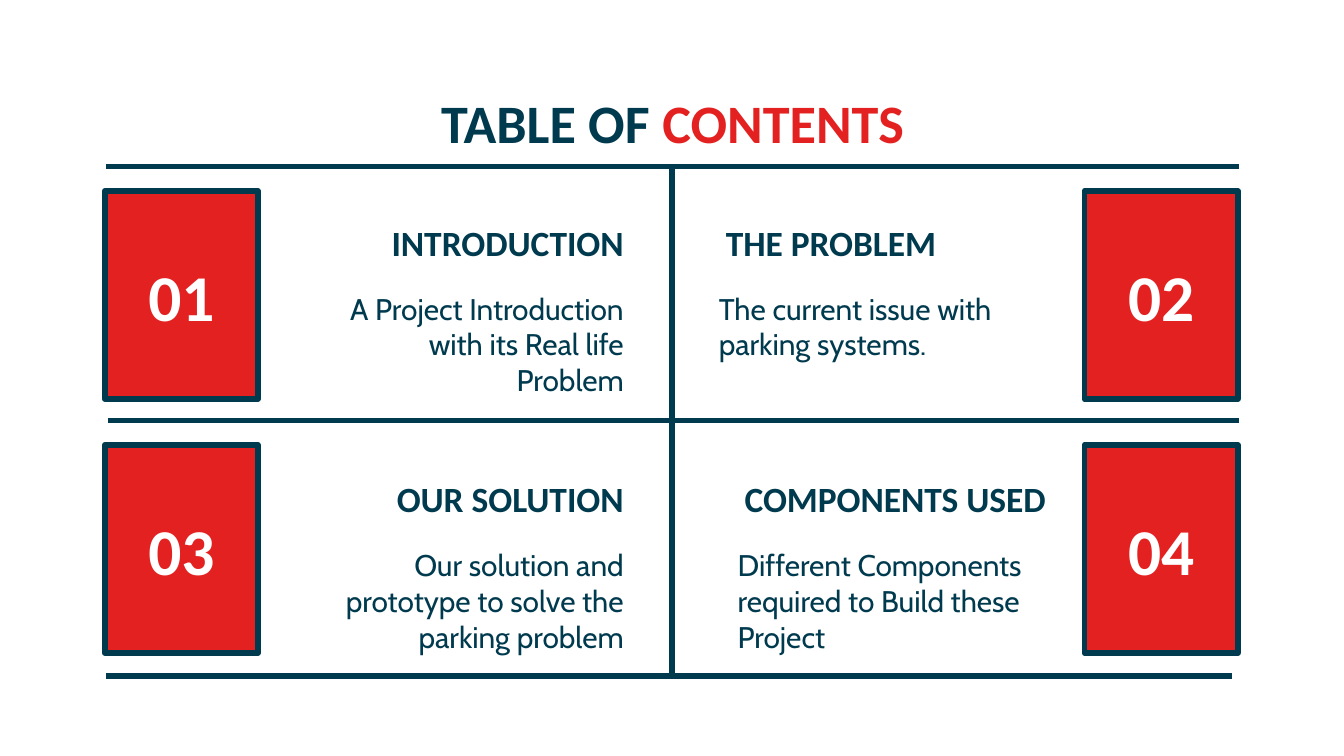
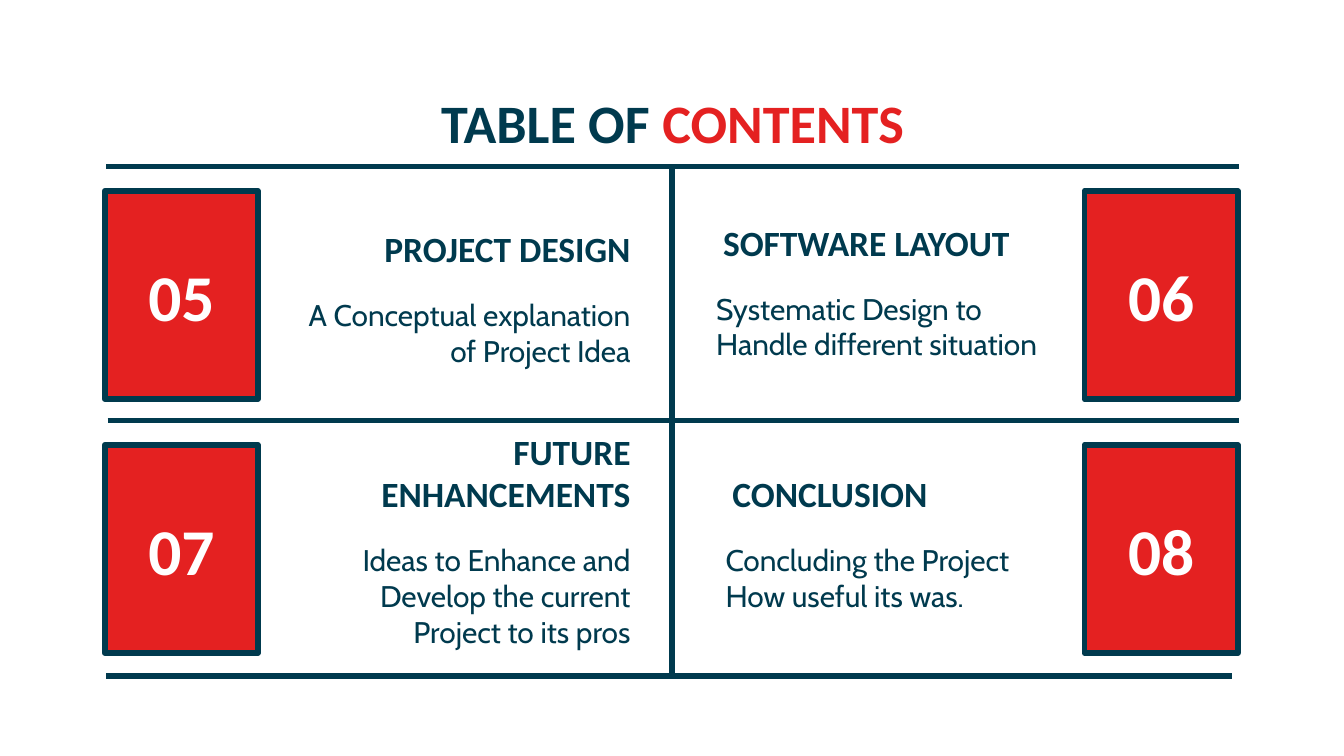
from lxml import etree
from pptx import Presentation
from pptx.dml.color import RGBColor
from pptx.enum.shapes import MSO_CONNECTOR, MSO_SHAPE
from pptx.enum.text import MSO_ANCHOR, PP_ALIGN
from pptx.oxml.ns import qn
from pptx.util import Pt

PX = 9144  # 100 px to the inch
SLIDE_WIDTH = 1000 * PX
SLIDE_HEIGHT = SLIDE_WIDTH * 9 // 16

RECTANGLE = MSO_SHAPE.RECTANGLE
STRAIGHT = MSO_CONNECTOR.STRAIGHT
TOP, MIDDLE, BOTTOM = MSO_ANCHOR.TOP, MSO_ANCHOR.MIDDLE, MSO_ANCHOR.BOTTOM
LEFT, CENTER, RIGHT = PP_ALIGN.LEFT, PP_ALIGN.CENTER, PP_ALIGN.RIGHT

NAVY, RED, WHITE = "003A4E", "E42121", "FFFFFF"
TITLE = {"name": "Calibri", "size": Pt(29), "bold": True}
NUMBER = {"name": "Calibri", "size": Pt(35), "bold": True}
HEADING = {"name": "Calibri", "size": Pt(19), "bold": True}
BODY = {"name": "Cabin", "size": Pt(16), "bold": False}

TITLE_BOX = (79, 59, 843, 63)
RULES = [
    ((500, 124), (500, 501)),
    ((80, 313), (922, 313)),
    ((79, 124), (922, 124)),
    ((79, 503), (917, 503)),
]
RULE_POINTS = 3
TILE_LEFTS, TILE_TOPS = (78, 807), (142, 331)
TILE_WIDTH, TILE_HEIGHT = 114, 155
ENTRY_WIDTH, HEADING_HEIGHT, BODY_HEIGHT = 261, 56, 81
HANGING = {"marL": 50 * PX, "indent": -35 * PX}

# Each entry: left and top of its text, heading, body paragraphs, paragraph indent
CONTENTS = [
    [
        (213, 150, "INTRODUCTION",
         ["A Project Introduction with its Real life Problem"], HANGING),
        (525, 150, "THE PROBLEM",
         ["The current issue with parking systems."], {}),
        (213, 341, "OUR SOLUTION",
         ["Our solution and prototype to solve the parking problem"], {}),
        (539, 341, "COMPONENTS USED",
         ["Different Components required to Build these Project"], {}),
    ],
    [
        (218, 155, "PROJECT DESIGN",
         ["A Conceptual explanation of Project Idea"], {}),
        (523, 150, "SOFTWARE LAYOUT",
         ["Systematic Design to", "Handle different situation"], {}),
        (218, 337, "FUTURE ENHANCEMENTS",
         ["Ideas to Enhance and Develop the current Project to its pros"], {}),
        (530, 337, "CONCLUSION",
         ["Concluding the Project How useful its was."], {}),
    ],
]


def rgb(color):
    return RGBColor.from_string(color)


def emu(lengths):
    return [length * PX for length in lengths]


def set_all(target, values):
    for name, value in values.items():
        setattr(target, name, value)


def write(frame, paragraphs, style, align, anchor, left_inset=10, indent=None):
    """Fill a text frame; each paragraph is a list of (text, color) runs."""
    set_all(frame, {
        "word_wrap": True, "vertical_anchor": anchor,
        "margin_left": left_inset * PX, "margin_top": 10 * PX,
        "margin_right": 10 * PX, "margin_bottom": 10 * PX,
    })
    for index, runs in enumerate(paragraphs):
        paragraph = frame.add_paragraph() if index else frame.paragraphs[0]
        paragraph.alignment = align
        for name, value in (indent or {}).items():
            paragraph._p.get_or_add_pPr().set(name, str(value))
        for text, color in runs:
            run = paragraph.add_run()
            run.text = text
            set_all(run.font, style)
            run.font.color.rgb = rgb(color)


def add_text(slide, box, *args, **options):
    write(slide.shapes.add_textbox(*emu(box)).text_frame, *args, **options)


def draw_title(slide, box):
    add_text(slide, box, [[("TABLE OF ", NAVY), ("CONTENTS", RED)]],
             TITLE, CENTER, MIDDLE)


def draw_number_tile(slide, box, number):
    tile = slide.shapes.add_shape(RECTANGLE, *emu(box))
    tile.shadow.inherit = False
    tile.fill.solid()
    tile.fill.fore_color.rgb = rgb(RED)
    tile.line.color.rgb = rgb(NAVY)
    tile.line.width = Pt(RULE_POINTS)
    etree.SubElement(tile.line._get_or_add_ln(), qn("a:round"))
    write(tile.text_frame, [[(f"{number:02}", WHITE)]], NUMBER, CENTER, MIDDLE)


def draw_entry(slide, left, top, heading, body, indent, align):
    add_text(slide, (left, top, ENTRY_WIDTH, HEADING_HEIGHT),
             [[(heading, NAVY)]], HEADING, align, BOTTOM, left_inset=15)
    add_text(slide, (left, top + HEADING_HEIGHT, ENTRY_WIDTH, BODY_HEIGHT),
             [[(text, NAVY)] for text in body], BODY, align, TOP, indent=indent)


def draw_rules(slide):
    for start, end in RULES:
        rule = slide.shapes.add_connector(STRAIGHT, *emu(start + end))
        rule.line.color.rgb = rgb(NAVY)
        rule.line.width = Pt(RULE_POINTS)
        etree.SubElement(rule._element.spPr, qn("a:effectLst"))


def build_contents_slide(deck, entries, first_number):
    slide = deck.slides.add_slide(deck.slide_layouts[6])
    slide.background.fill.solid()
    slide.background.fill.fore_color.rgb = rgb(WHITE)
    draw_title(slide, TITLE_BOX)
    for index, entry in enumerate(entries):
        row, column = divmod(index, 2)
        tile_box = (TILE_LEFTS[column], TILE_TOPS[row], TILE_WIDTH, TILE_HEIGHT)
        draw_number_tile(slide, tile_box, first_number + index)
        draw_entry(slide, *entry, align=(RIGHT, LEFT)[column])
    draw_rules(slide)


def main():
    deck = Presentation()
    deck.slide_width, deck.slide_height = SLIDE_WIDTH, SLIDE_HEIGHT
    first_number = 1
    for entries in CONTENTS:
        build_contents_slide(deck, entries, first_number)
        first_number += len(entries)
    deck.save("out.pptx")


if __name__ == "__main__":
    main()
